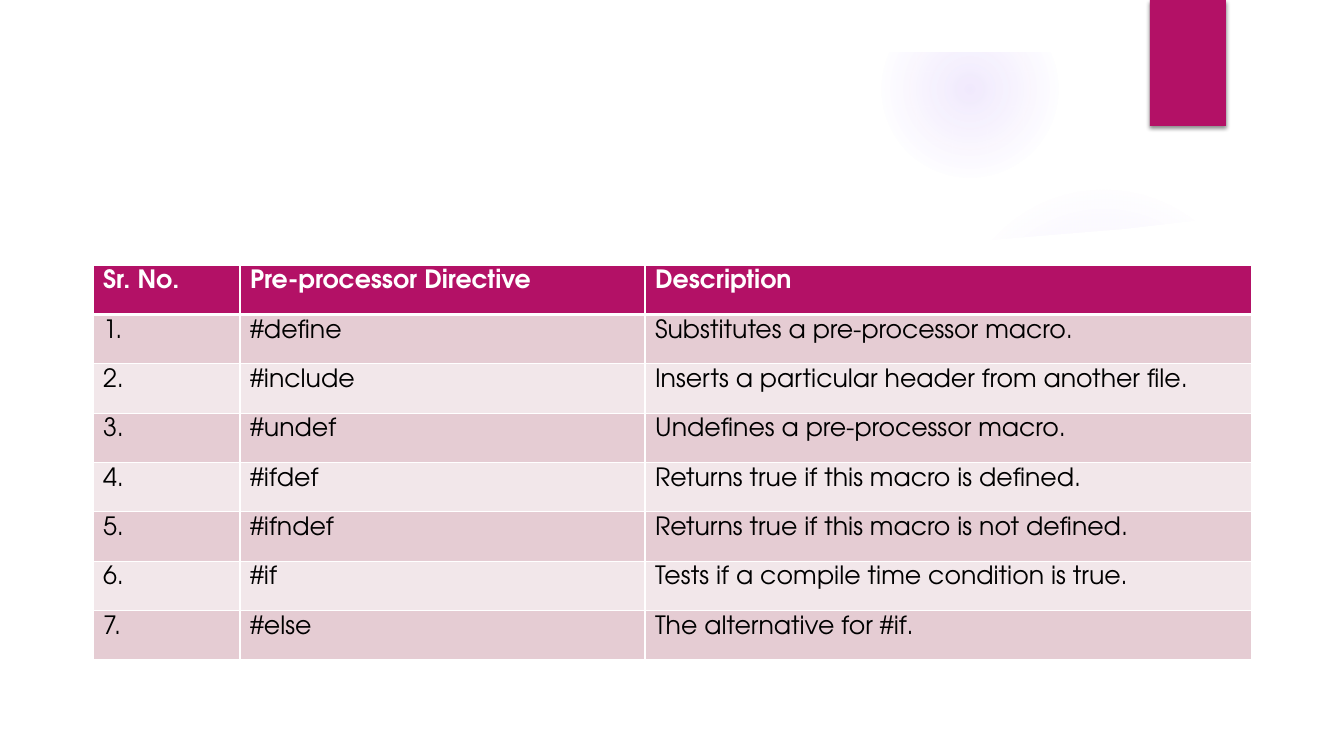
from lxml.etree import SubElement
from pptx import Presentation
from pptx.dml.color import RGBColor
from pptx.enum.shapes import MSO_SHAPE
from pptx.oxml import parse_xml
from pptx.oxml.ns import nsdecls, qn
from pptx.util import Pt

PX = 914400 / 100.8
WIDTH, HEIGHT = 1344, 756
FONT = "TeX Gyre Adventor"
WHITE, BLACK, MAGENTA, VIOLET = "FFFFFF", "000000", "B31166", "9B6BF2"
BANDS = ("E5CCD3", "F2E7EA")
HEADER_FONT = {"name": FONT, "size": Pt(18), "bold": True}
BODY_FONT = {**HEADER_FONT, "bold": False}

HEADINGS = ("Sr. No.", "Pre-processor Directive", "Description")
DIRECTIVES = (
    ("#define", "Substitutes a pre-processor macro."),
    ("#include", "Inserts a particular header from another file."),
    ("#undef", "Undefines a pre-processor macro."),
    ("#ifdef", "Returns true if this macro is defined."),
    ("#ifndef", "Returns true if this macro is not defined."),
    ("#if", "Tests if a compile time condition is true."),
    ("#else", "The alternative for #if."),
)
COLUMN_WIDTHS = (147, 405, 607)

PANEL = ((50, 206), (50, 706), (1294, 706), (1294, 206), (1210, 219),
         (1125, 229), (1040, 236), (956, 243), (873, 247), (766, 249),
         (662, 250), (539, 247), (404, 240), (285, 232), (188, 223),
         (95, 212))
FRAME_OUTER = ((0, 0), (0, HEIGHT), (WIDTH, HEIGHT), (WIDTH, 0))
FRAME_INNER = ((1291, 704), (52, 704), (52, 52), (1291, 52))


def emu(px):
    return round(px * PX)


def rgb(color):
    return RGBColor.from_string(color)


def paint(sp, color):
    sp.shadow.inherit = False
    sp.line.fill.background()
    sp.fill.solid()
    sp.fill.fore_color.rgb = rgb(color)


def add_preset(s, preset, box, color):
    sp = s.shapes.add_shape(preset, *map(emu, box))
    paint(sp, color)
    return sp


def add_glow(s, box, stops):
    """Add an ellipse fading outwards; stops are (position %, opacity %)."""
    sp = add_preset(s, MSO_SHAPE.OVAL, box, VIOLET)
    gs = "".join(
        f'<a:gs pos="{pos * 1000}"><a:srgbClr val="{VIOLET}">'
        f'<a:alpha val="{alpha * 1000}"/></a:srgbClr></a:gs>'
        for pos, alpha in stops)
    gradient = parse_xml(
        f'<a:gradFill {nsdecls("a")} rotWithShape="1"><a:gsLst>{gs}</a:gsLst>'
        '<a:path path="circle"><a:fillToRect l="50000" t="50000" r="50000" '
        'b="50000"/></a:path></a:gradFill>')
    spPr = sp._element.spPr
    spPr.replace(spPr.find(qn("a:solidFill")), gradient)


def add_outline(s, color, *contours):
    first, *others = contours
    builder = s.shapes.build_freeform(*first[0], scale=PX)
    builder.add_line_segments(first[1:], close=True)
    for contour in others:
        builder.move_to(*contour[0])
        builder.add_line_segments(contour[1:], close=True)
    paint(builder.convert_to_shape(), color)


def add_tab(s):
    """Add the bookmark at the top edge, with its soft shadow."""
    sp = add_preset(s, MSO_SHAPE.RECTANGLE, (1150, 0, 76, 126), MAGENTA)
    effects = sp._element.spPr.find(qn("a:effectLst"))
    shadow = SubElement(effects, qn("a:outerShdw"), blurRad=str(Pt(3)),
                        dist=str(Pt(2)), dir="5400000", rotWithShape="0")
    color = SubElement(shadow, qn("a:srgbClr"), val=BLACK)
    SubElement(color, qn("a:alpha"), val="45000")


def set_borders(cell, **widths):
    tcPr = cell._tc.get_or_add_tcPr()
    for i, side in enumerate("LRTB"):
        tcPr.insert(i, parse_xml(
            f'<a:ln{side} {nsdecls("a")} w="{Pt(widths.get(side, 1))}">'
            f'<a:solidFill><a:srgbClr val="{WHITE}"/></a:solidFill>'
            f'</a:ln{side}>'))


def fill_cell(cell, text, fill, color, font):
    cell.fill.solid()
    cell.fill.fore_color.rgb = rgb(fill)
    r = cell.text_frame.paragraphs[0].add_run()
    r.text = text
    for name, value in font.items():
        setattr(r.font, name, value)
    r.font.color.rgb = rgb(color)


def add_directive_table(s):
    rows = [HEADINGS] + [(f"{n}.", *row) for n, row in enumerate(DIRECTIVES, 1)]
    box = (93, 265, sum(COLUMN_WIDTHS), 395)
    table = s.shapes.add_table(len(rows), len(HEADINGS), *map(emu, box)).table
    for column, width in zip(table.columns, COLUMN_WIDTHS):
        column.width = emu(width)
    for i, row in enumerate(rows):
        for j, text in enumerate(row):
            cell = table.cell(i, j)
            if i == 0:
                fill_cell(cell, text, MAGENTA, WHITE, HEADER_FONT)
                set_borders(cell, B=3)
            else:
                fill_cell(cell, text, BANDS[(i - 1) % 2], BLACK, BODY_FONT)
                set_borders(cell, T=3 if i == 1 else 1)


def main():
    prs = Presentation()
    prs.slide_width, prs.slide_height = emu(WIDTH), emu(HEIGHT)
    s = prs.slides.add_slide(prs.slide_layouts[6])
    add_glow(s, (949, 184, 310, 310), ((0, 7), (36, 6), (69, 0)))
    add_glow(s, (882, 1, 176, 176), ((0, 14), (36, 7), (73, 0)))
    add_outline(s, WHITE, PANEL)
    add_outline(s, WHITE, FRAME_OUTER, FRAME_INNER)
    add_tab(s)
    add_directive_table(s)
    prs.save("out.pptx")


if __name__ == "__main__":
    main()
